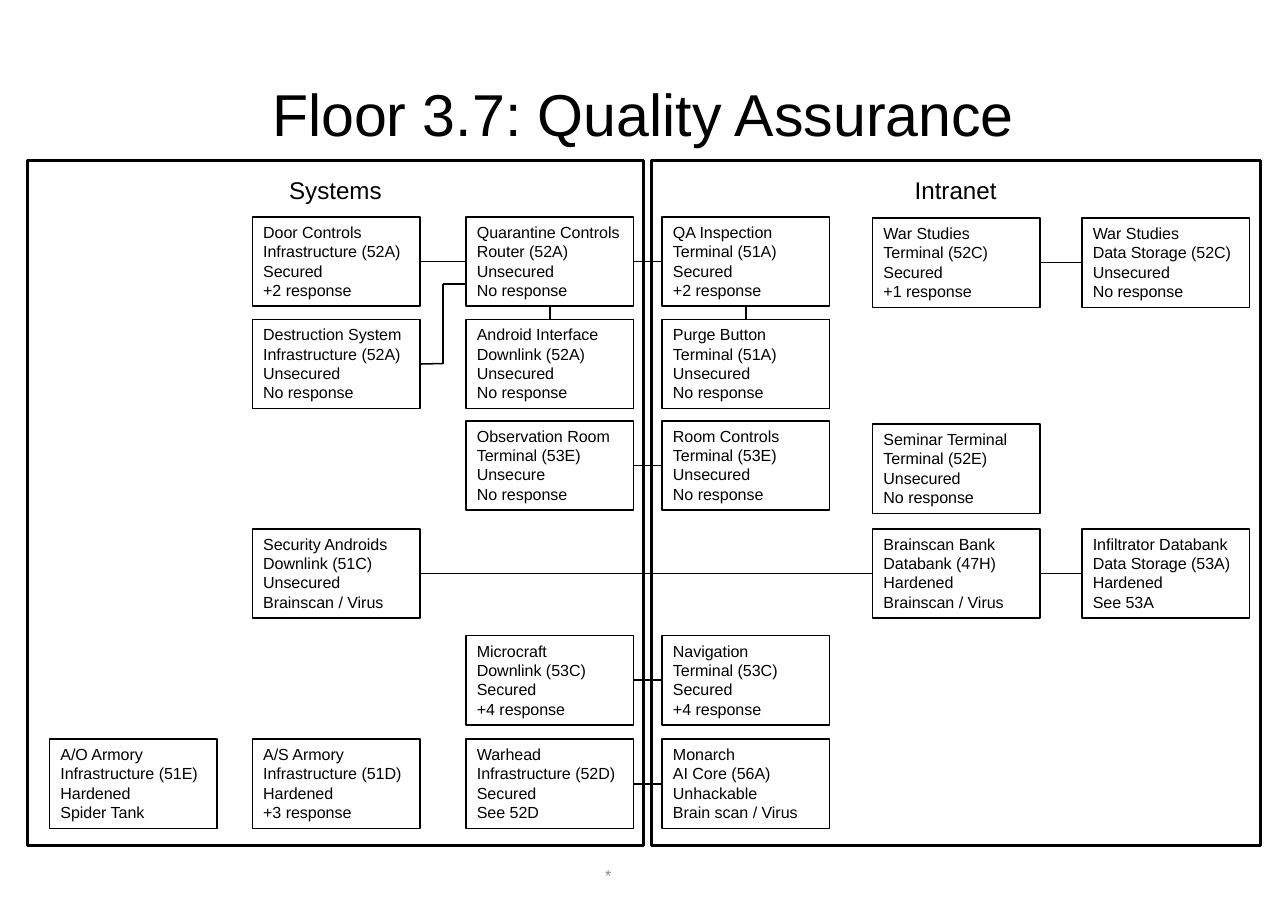
from dataclasses import dataclass

from lxml.etree import SubElement
from pptx import Presentation
from pptx.dml.color import RGBColor
from pptx.enum.shapes import MSO_CONNECTOR, MSO_SHAPE
from pptx.enum.text import MSO_ANCHOR, PP_ALIGN
from pptx.oxml.ns import qn
from pptx.util import Inches, Pt


@dataclass(frozen=True)
class Theme:
    font: str = "Arial"
    ink: RGBColor = RGBColor(0, 0, 0)
    paper: RGBColor = RGBColor(255, 255, 255)
    muted: RGBColor = RGBColor(0x8C, 0x8C, 0x8C)
    title: float = 38.6
    heading: float = 15.8
    body: float = 10.5
    body_pitch: float = 12.6
    zone_line: float = 2
    node_line: float = 1


THEME = Theme()
NODE_W, NODE_H = 1.52, 0.81
ROW_TOPS = [0.51, 1.44, 2.36, 3.34, 4.31, 5.25]
TOP, LEFT, BOTTOM, RIGHT = range(4)

SYSTEMS_COLS = {0: 0.2, 1: 2.04, 2: 3.98}
INTRANET_COLS = {3: 0.1, 4: 2.01, 5: 3.91}

SYSTEMS = {
    (1, 0): ["Door Controls", "Infrastructure (52A)", "Secured", "+2 response"],
    (2, 0): ["Quarantine Controls", "Router (52A)", "Unsecured", "No response"],
    (1, 1): ["Destruction System", "Infrastructure (52A)", "Unsecured", "No response"],
    (2, 1): ["Android Interface", "Downlink (52A)", "Unsecured", "No response"],
    (2, 2): ["Observation Room", "Terminal (53E)", "Unsecure", "No response"],
    (1, 3): ["Security Androids Downlink (51C)", "Unsecured", "Brainscan / Virus"],
    (2, 4): ["Microcraft", "Downlink (53C)", "Secured", "+4 response"],
    (0, 5): ["A/O Armory", "Infrastructure (51E)", "Hardened", "Spider Tank"],
    (1, 5): ["A/S Armory", "Infrastructure (51D)", "Hardened", "+3 response"],
    (2, 5): ["Warhead", "Infrastructure (52D)", "Secured", "See 52D"],
}
INTRANET = {
    (3, 0): ["QA Inspection", "Terminal (51A)", "Secured", "+2 response"],
    (4, 0): ["War Studies", "Terminal (52C)", "Secured", "+1 response"],
    (5, 0): ["War Studies", "Data Storage (52C)", "Unsecured", "No response"],
    (3, 1): ["Purge Button", "Terminal (51A)", "Unsecured", "No response"],
    (3, 2): ["Room Controls Terminal (53E)", "Unsecured", "No response"],
    (4, 2): ["Seminar Terminal", "Terminal (52E)", "Unsecured", "No response"],
    (4, 3): ["Brainscan Bank Databank (47H)", "Hardened", "Brainscan / Virus"],
    (5, 3): ["Infiltrator Databank", "Data Storage (53A)", "Hardened", "See 53A"],
    (3, 4): ["Navigation", "Terminal (53C)", "Secured", "+4 response"],
    (3, 5): ["Monarch", "AI Core (56A)", "Unhackable", "Brain scan / Virus"],
}
NUDGES = {(4, 0): 0.01, (5, 0): 0.01, (4, 2): 0.03}
ROW_LINKS = [
    ((1, 0), (2, 0)),
    ((2, 0), (3, 0)),
    ((4, 0), (5, 0)),
    ((2, 2), (3, 2)),
    ((1, 3), (4, 3)),
    ((4, 3), (5, 3)),
    ((2, 4), (3, 4)),
    ((2, 5), (3, 5)),
]
COLUMN_LINKS = [((2, 0), (2, 1)), ((3, 0), (3, 1))]


def write(sp, lines, size, color=THEME.ink, align=PP_ALIGN.CENTER,
          anchor=MSO_ANCHOR.MIDDLE, pitch=None):
    tf = sp.text_frame
    tf.word_wrap = True
    tf.vertical_anchor = anchor
    for i, line in enumerate(lines):
        p = tf.add_paragraph() if i else tf.paragraphs[0]
        p.alignment = align
        if pitch:
            p.line_spacing = Pt(pitch)
        r = p.add_run()
        r.text = line
        r.font.name = THEME.font
        r.font.size = Pt(size)
        r.font.color.rgb = color


def add_label(s, box, text, size, color=THEME.ink):
    sp = s.shapes.add_textbox(*map(Inches, box))
    write(sp, [text], size, color=color)


def add_box(s, box, weight, fill=None):
    sp = s.shapes.add_shape(MSO_SHAPE.RECTANGLE, *map(Inches, box))
    sp.shadow.inherit = False
    if fill is None:
        sp.fill.background()
    else:
        sp.fill.solid()
        sp.fill.fore_color.rgb = fill
    sp.line.color.rgb = THEME.ink
    sp.line.width = Pt(weight)
    return sp


def add_line(s, start=(0, 0), end=(0, 0)):
    line = s.shapes.add_connector(MSO_CONNECTOR.STRAIGHT, *map(Inches, (*start, *end)))
    line.line.color.rgb = THEME.ink
    line.line.width = Pt(THEME.node_line)
    SubElement(line._element.spPr, qn("a:effectLst"))
    return line


def link(s, first, first_side, second, second_side):
    line = add_line(s)
    line.begin_connect(first, first_side)
    line.end_connect(second, second_side)


def draw_zone(s, box, heading, cols, nodes):
    x, y, w, h = box
    add_box(s, box, THEME.zone_line, fill=THEME.paper)
    add_label(s, (x, y + 0.08, w, 0.37), heading, THEME.heading)
    placed = {}
    for (col, row), lines in nodes.items():
        top = y + ROW_TOPS[row] + NUDGES.get((col, row), 0)
        sp = add_box(s, (x + cols[col], top, NODE_W, NODE_H), THEME.node_line)
        write(sp, lines, THEME.body, align=PP_ALIGN.LEFT, anchor=MSO_ANCHOR.TOP,
              pitch=THEME.body_pitch)
        placed[col, row] = sp
    return placed


def draw_links(s, nodes):
    for a, b in ROW_LINKS:
        link(s, nodes[a], RIGHT, nodes[b], LEFT)
    for a, b in COLUMN_LINKS:
        link(s, nodes[a], BOTTOM, nodes[b], TOP)


def draw_destruction_link(s, box):
    x, y, w, h = box
    bend = x + w / 2
    add_line(s, (x + w, y), (bend, y))
    add_line(s, (bend, y), (bend, y + h))
    destruction_link = add_line(s, (bend, y + h), (x, y + h))
    return destruction_link


def draw_floor(s, box):
    x, y, w, h = box
    add_label(s, (x + 0.58, y + 0.33, 10.52, 1.38), "Floor 3.7: Quality Assurance", THEME.title)
    nodes = draw_zone(s, (x + 5.91, y + 1.46, 5.53, 6.22), "Intranet", INTRANET_COLS, INTRANET)
    nodes |= draw_zone(s, (x + 0.25, y + 1.46, 5.59, 6.22), "Systems", SYSTEMS_COLS, SYSTEMS)
    draw_links(s, nodes)
    line = draw_destruction_link(s, (x + 3.81, y + 2.58, 0.42, 0.72))
    line.end_connect(nodes[1, 1], RIGHT)
    add_label(s, (x + 1.83, y + 7.84, 7.38, 0.2), "*", THEME.body, color=THEME.muted)


def main():
    prs = Presentation()
    prs.slide_width, prs.slide_height = Inches(11.69), Inches(8.27)
    s = prs.slides.add_slide(prs.slide_layouts[6])
    draw_floor(s, (0, 0, 11.69, 8.27))
    prs.save("out.pptx")


if __name__ == "__main__":
    main()
